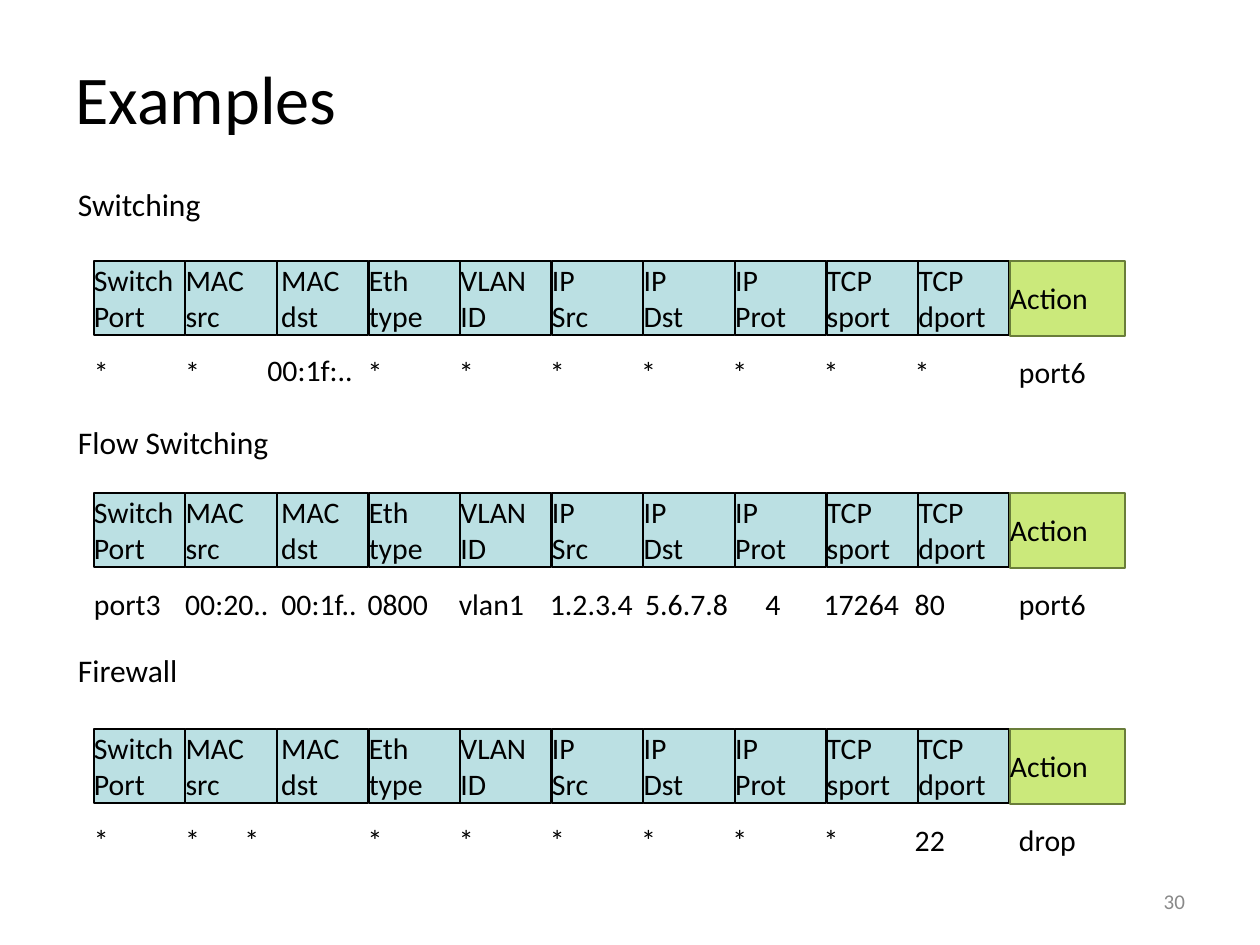
from pptx import Presentation
from pptx.dml.color import RGBColor
from pptx.enum.shapes import MSO_SHAPE
from pptx.enum.text import MSO_ANCHOR, MSO_AUTO_SIZE, PP_ALIGN
from pptx.util import Emu, Pt

SCALE = 914400 / 126
BLACK = RGBColor(0, 0, 0)
GREY = RGBColor(0x89, 0x89, 0x89)
BLUE = RGBColor(0xBB, 0xE0, 0xE3)
GREEN = RGBColor(0xCB, 0xE9, 0x7B)
DARK_GREEN = RGBColor(0x69, 0x7D, 0x3A)

LEFT = 94
FIELD_W = 91
ACTION_X = 1010
FIELDS = ["Switch\nPort", "MAC\nsrc", "MAC\ndst", "Eth\ntype", "VLAN\nID",
          "IP\nSrc", "IP\nDst", "IP\nProt", "TCP\nsport", "TCP\ndport"]
HEADER_SHIFTS = {2: 4}

EXAMPLES = [
    ("Switching", 185, 261,
     ["*", "*", "00:1f:..", "*", "*", "*", "*", "*", "*", "*"], "port6",
     {2: (-9, -2, 156)}),
    ("Flow Switching", 423, 493,
     ["port3", "00:20..", "00:1f..", "0800", "vlan1", "1.2.3.4", "5.6.7.8",
      "4", "17264", "80"], "port6",
     {2: (5, 0, 120), 6: (4, 0, 91), 7: (33, 0, 91)}),
    ("Firewall", 651, 729,
     ["*", "*", "*", "*", "*", "*", "*", "*", "*", "22"], "drop",
     {2: (-32, 0, 156)}),
]


def px(n):
    return Emu(round(n * SCALE))


def box(*lengths):
    return [px(n) for n in lengths]


def write(sp, text, size=17, color=BLACK, align=PP_ALIGN.LEFT, wrap=True, inset=0):
    tf = sp.text_frame
    tf.auto_size = MSO_AUTO_SIZE.NONE
    tf.word_wrap = wrap
    tf.vertical_anchor = MSO_ANCHOR.MIDDLE
    if inset is not None:
        tf.margin_left = tf.margin_right = tf.margin_top = tf.margin_bottom = px(inset)
    for i, line in enumerate(text.split("\n")):
        p = tf.add_paragraph() if i else tf.paragraphs[0]
        p.alignment = align
        r = p.add_run()
        r.text = line
        r.font.name = "Calibri"
        r.font.size = Pt(size)
        r.font.color.rgb = color


def add_text(shapes, text, x, y, w, h, **fmt):
    write(shapes.add_textbox(*box(x, y, w, h)), text, **fmt)


def add_rect(shapes, x, y, w, h, fill, line):
    sp = shapes.add_shape(MSO_SHAPE.RECTANGLE, *box(x, y, w, h))
    sp.shadow.inherit = False
    sp.fill.solid()
    sp.fill.fore_color.rgb = fill
    sp.line.color.rgb = line
    sp.line.width = Pt(1)


def add_header(s, top):
    shapes = s.shapes.add_group_shape().shapes
    for i, field in enumerate(FIELDS):
        x = LEFT + 916 * i / 10
        add_rect(shapes, x, top, FIELD_W, 74, BLUE, BLACK)
        add_text(shapes, field, x + HEADER_SHIFTS.get(i, 0), top - 2, FIELD_W, 78)
    add_rect(shapes, ACTION_X, top, 115, 75, GREEN, DARK_GREEN)
    add_text(shapes, "Action", ACTION_X, top + 15, 115, 44)


def add_values(s, top, values, action, shifts):
    for i, value in enumerate(values):
        dx, dy, w = shifts.get(i, (0, 0, FIELD_W))
        add_text(s.shapes, value, LEFT + 912 * i / 10 + dx, top + dy, w, 44)
    add_text(s.shapes, action, ACTION_X + 9, top, FIELD_W, 44)


def add_title(s, text):
    sp = s.shapes.title
    sp.left, sp.top, sp.width, sp.height = box(63, 34, 1134, 126)
    write(sp, text, size=39, inset=None)


def main():
    prs = Presentation()
    prs.slide_width, prs.slide_height = box(1260, 945)
    s = prs.slides.add_slide(prs.slide_layouts[5])
    add_title(s, "Examples")
    for name, name_top, top, values, action, shifts in EXAMPLES:
        add_text(s.shapes, name, 78, name_top, 191, 38, size=18, wrap=False)
        add_header(s, top)
        add_values(s, top + 89, values, action, shifts)
    add_text(s.shapes, "30", 903, 876, 294, 50, size=12, color=GREY,
             align=PP_ALIGN.RIGHT, inset=12)
    prs.save("out.pptx")


if __name__ == "__main__":
    main()
